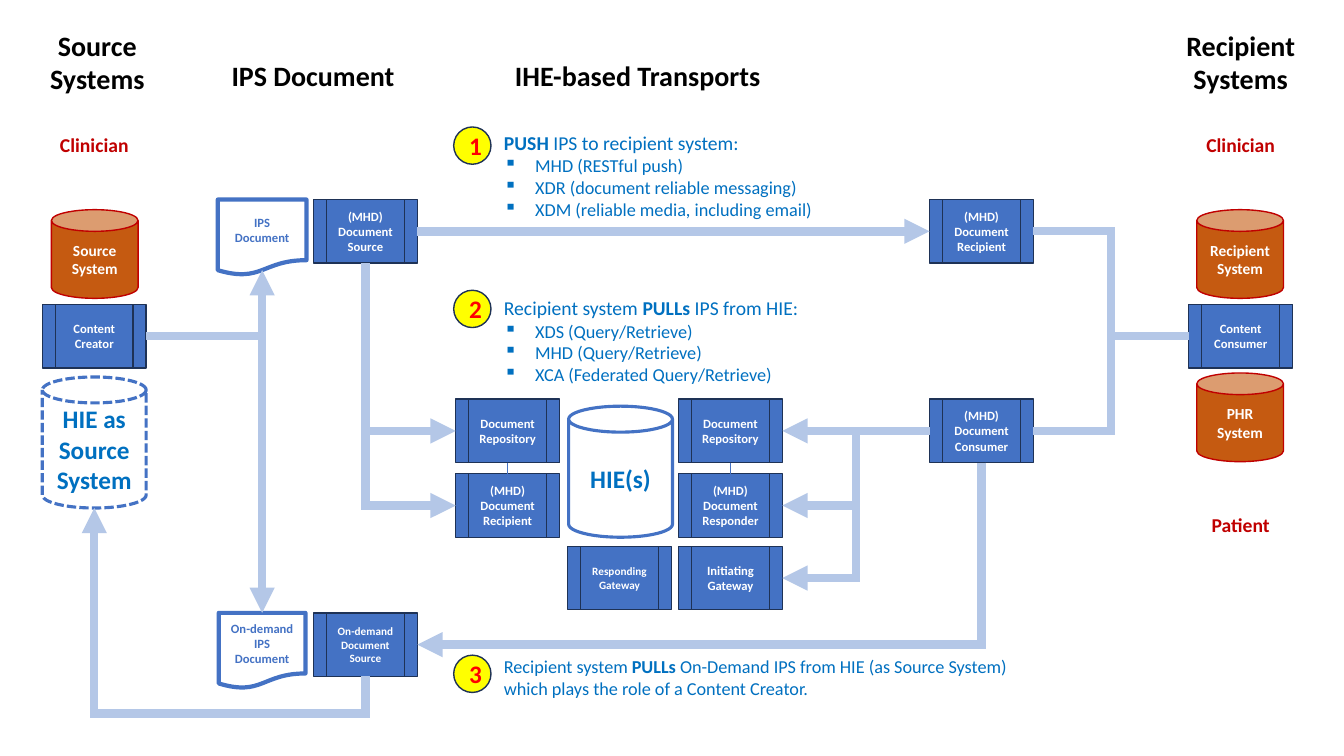
from pptx import Presentation, util as u
from pptx.dml.color import RGBColor
from pptx.enum import dml, shapes, text
from pptx.oxml.ns import qn
from lxml import etree

# Content: colours and text styles
BLUE, NAVY, SKY, PALE = "4472C4", "1E3256", "0070C0", "B4C7E7"
RED, RUST, WHITE, BLACK = "C00000", "C55A11", "FFFFFF", "000000"
FONT = "Calibri"
KIND = shapes.MSO_SHAPE

# Grid: left edges of the columns and top edges of the rows, in inches
COLUMNS = {"left": 0.42, "source": 3.11, "store": 4.52, "middle": 5.63,
           "gateway": 6.73, "recipient": 9.22, "right": 11.79}
ROWS = {"push": 1.98, "content": 3.02, "repository": 3.96,
        "registry": 4.7, "gateway": 5.42, "demand": 6.08}
BOX_W, BOX_H = 1.03, 0.63

# Name: (column, row, text, size)
ACTORS = {
    "creator": ("left", "content", "Content\nCreator", 9),
    "push source": ("source", "push", "(MHD)\nDocument\nSource", 9),
    "push recipient": ("recipient", "push", "(MHD)\nDocument\nRecipient", 9),
    "repository in": ("store", "repository", "Document\nRepository", 9),
    "recipient in": ("store", "registry", "(MHD)\nDocument\nRecipient", 9),
    "repository out": ("gateway", "repository", "Document\nRepository", 9),
    "responder": ("gateway", "registry", "(MHD)\nDocument\nResponder", 9),
    "initiating": ("gateway", "gateway", "Initiating\nGateway", 9),
    "responding": ("middle", "gateway", "Responding\nGateway", 8),
    "consumer": ("recipient", "repository", "(MHD)\nDocument\nConsumer", 9),
    "demand source": ("source", "demand", "On-demand Document\nSource", 8),
    "content consumer": ("right", "content", "Content\nConsumer", 9),
}
# Name: (kind, place, text, size, text colour, fill, line, line width)
SYSTEM = (11, WHITE, RUST, RED, 1)
EXCHANGE = (18, SKY, WHITE, BLUE, 2.25)
PAPER = (9, BLUE, WHITE, BLUE, 3)
BADGE = (18, "FF0000", "FFFF00", NAVY, 1)
SYMBOLS = {
    "source system": (KIND.CAN, (0.51, 2.08, 0.86, 0.88), "Source\nSystem", *SYSTEM),
    "recipient system": (KIND.CAN, (11.87, 2.08, 0.86, 0.88), "Recipient\nSystem", *SYSTEM),
    "PHR": (KIND.CAN, (11.87, 3.7, 0.86, 0.88), "PHR\nSystem", *SYSTEM),
    "HIE": (KIND.CAN, (5.64, 4.03, 1.03, 1.3), "HIE(s)", *EXCHANGE),
    "HIE source": (KIND.CAN, (0.42, 3.74, 1.03, 1.3), "HIE as Source\nSystem", *EXCHANGE),
    "IPS": (KIND.FLOWCHART_DOCUMENT, (2.16, 1.98, 0.88, 0.75), "IPS\nDocument", *PAPER),
    "demand IPS": (KIND.FLOWCHART_DOCUMENT, (2.17, 6.08, 0.86, 0.75),
                   "On-demand IPS\nDocument", *PAPER),
}
BADGE_TOPS = {"1": 1.26, "2": 2.88, "3": 6.5}

# Headings and roles: (place, text, size, colour)
LABELS = [
    ((0.39, 0.23, 1.15, 0.77), "Source\nSystems", 20, BLACK),
    ((2.19, 0.53, 1.83, 0.44), "IPS Document", 20, BLACK),
    ((5, 0.53, 2.65, 0.44), "IHE-based Transports", 20, BLACK),
    ((11.66, 0.23, 1.29, 0.77), "Recipient\nSystems", 20, BLACK),
    ((0.49, 1.27, 0.89, 0.34), "Clinician", 14, RED),
    ((11.86, 1.27, 0.89, 0.34), "Clinician", 14, RED),
    ((11.91, 5.04, 0.79, 0.34), "Patient", 14, RED),
]
# Transports: (place, wrap, lead size, lead lines of (text, bold) spans, bullets)
TRANSPORTS = [
    ((4.9, 1.25, 3.31, 0.99), False, 14,
     [[("PUSH", True), (" IPS to recipient system:", False)]],
     ["MHD (RESTful push)", "XDR (document reliable messaging)",
      "XDM (reliable media, including email)"]),
    ((4.9, 2.89, 3.14, 0.99), False, 14,
     [[("Recipient system ", False), ("PULLs", True), (" IPS from HIE:", False)]],
     ["XDS (Query/Retrieve)", "MHD (Query/Retrieve)", "XCA (Federated Query/Retrieve)"]),
    ((4.9, 6.45, 5.33, 0.54), True, 13,
     [[("Recipient system ", False), ("PULLs", True),
       (" On-Demand IPS from HIE (as Source System)", False)],
      [("which plays the role of a Content Creator.", False)]], []),
]
# Flows: sides are 0 top, 1 left, 2 bottom, 3 right
STRAIGHT = [  # (from, side, to, side, colour, width, arrow)
    ("push source", 3, "push recipient", 1, PALE, 6, True),
    ("consumer", 1, "repository out", 3, PALE, 6, True),
    ("repository in", 2, "recipient in", 0, BLUE, 0.5, False),
    ("repository out", 2, "responder", 0, BLUE, 0.5, False),
]
ELBOWS = [  # (from, side, to, side, arrow)
    ("push recipient", 3, "content consumer", 1, False),
    ("consumer", 3, "content consumer", 1, False),
    ("consumer", 1, "responder", 3, True),
    ("consumer", 1, "initiating", 3, True),
]
CORNERS = [  # (from, side, to, side)
    ("push source", 2, "repository in", 1),
    ("push source", 2, "recipient in", 1),
    ("creator", 3, "demand IPS", 0),
    ("creator", 3, "IPS", 2),
    ("consumer", 2, "demand source", 3),
]
RETURN_Y = 7.08

deck = Presentation()
deck.slide_width, deck.slide_height = u.Inches(13.33), u.Inches(7.5)
page = deck.slides.add_slide(deck.slide_layouts[6])


def rgb(value):
    return RGBColor.from_string(value)


def inches(values):
    return [u.Inches(value) for value in values]


def add_span(para, words, size, color, bold):
    span = para.add_run()
    span.text = words
    for key, value in {"name": FONT, "size": u.Pt(size), "bold": bold}.items():
        setattr(span.font, key, value)
    span.font.color.rgb = rgb(color)


def next_para(frame, index):
    return frame.add_paragraph() if index else frame.paragraphs[0]


def write_lines(frame, words, size, color):
    for index, line in enumerate(words.split("\n")):
        para = next_para(frame, index)
        para.alignment = text.PP_ALIGN.CENTER
        add_span(para, line, size, color, True)


def add_symbol(kind, place, words, size, color, fill, edge, width):
    shape = page.shapes.add_shape(kind, *inches(place))
    shape.shadow.inherit = False
    shape.fill.solid()
    shape.fill.fore_color.rgb = rgb(fill)
    shape.line.color.rgb = rgb(edge)
    shape.line.width = u.Pt(width)
    shape.text_frame.word_wrap = True
    shape.text_frame.vertical_anchor = text.MSO_ANCHOR.MIDDLE
    write_lines(shape.text_frame, words, size, color)
    return shape


def add_text(place, wrap):
    frame = page.shapes.add_textbox(*inches(place)).text_frame
    frame.word_wrap = wrap
    frame.auto_size = text.MSO_AUTO_SIZE.SHAPE_TO_FIT_TEXT
    return frame


def style_flow(flow, color, width, arrow):
    flow.line.color.rgb = rgb(color)
    flow.line.width = u.Pt(width)
    stroke = flow.line._get_or_add_ln()
    etree.SubElement(stroke, qn("a:miter"), lim="800000")
    if arrow:
        etree.SubElement(stroke, qn("a:tailEnd"), type="triangle")
    if flow._element.spPr.find(qn("a:effectLst")) is None:
        etree.SubElement(flow._element.spPr, qn("a:effectLst"))


def side(name, number):
    box = parts[name]
    across, down = [(0.5, 0), (0, 0.5), (0.5, 1), (1, 0.5)][number]
    return int(box.left + across * box.width), int(box.top + down * box.height)


def add_route(*points):
    builder = page.shapes.build_freeform(*points[0])
    builder.add_line_segments(points[1:], close=False)
    route = builder.convert_to_shape()
    route.fill.background()
    route.shadow.inherit = False
    style_flow(route, PALE, 6, True)


# Actors, systems and numbered badges
parts = {}
for name, (column, row, words, size) in ACTORS.items():
    parts[name] = add_symbol(KIND.FLOWCHART_PREDEFINED_PROCESS,
                             (COLUMNS[column], ROWS[row], BOX_W, BOX_H),
                             words, size, WHITE, BLUE, NAVY, 1)
for name, symbol in SYMBOLS.items():
    parts[name] = add_symbol(*symbol)
parts["HIE source"].line.dash_style = dml.MSO_LINE.SQUARE_DOT
for number, top in BADGE_TOPS.items():
    add_symbol(KIND.OVAL, (4.5, top, 0.37, 0.37), number, *BADGE)

# Flows
for start, start_side, end, end_side, color, width, arrow in STRAIGHT:
    flow = page.shapes.add_connector(shapes.MSO_CONNECTOR.STRAIGHT, 0, 0, 0, 0)
    flow.begin_connect(parts[start], start_side)
    flow.end_connect(parts[end], end_side)
    style_flow(flow, color, width, arrow)
for start, start_side, end, end_side, arrow in ELBOWS:
    flow = page.shapes.add_connector(shapes.MSO_CONNECTOR.ELBOW,
                                     *side(start, start_side), *side(end, end_side))
    style_flow(flow, PALE, 6, arrow)
for start, start_side, end, end_side in CORNERS:
    first, last = side(start, start_side), side(end, end_side)
    if end == "IPS":  # the wavy lower edge sits above the frame
        last = (last[0], last[1] - u.Inches(0.05))
    corner = (first[0], last[1]) if start_side in (0, 2) else (last[0], first[1])
    add_route(first, corner, last)
first, last = side("demand source", 2), side("HIE source", 2)
add_route(first, (first[0], u.Inches(RETURN_Y)), (last[0], u.Inches(RETURN_Y)), last)

# Headings, roles and transport descriptions
for place, words, size, color in LABELS:
    write_lines(add_text(place, False), words, size, color)
for place, wrap, lead_size, leads, bullets in TRANSPORTS:
    frame = add_text(place, wrap)
    for index, spans in enumerate(leads):
        para = next_para(frame, index)
        for words, bold in spans:
            add_span(para, words, lead_size, SKY, bold)
    for words in bullets:
        para = frame.add_paragraph()
        props = para._p.get_or_add_pPr()
        props.set("marL", str(u.Inches(0.31)))
        props.set("indent", str(-u.Inches(0.31)))
        etree.SubElement(props, qn("a:buChar"), char="▪")
        add_span(para, words, 13, SKY, False)

deck.save("out.pptx")
